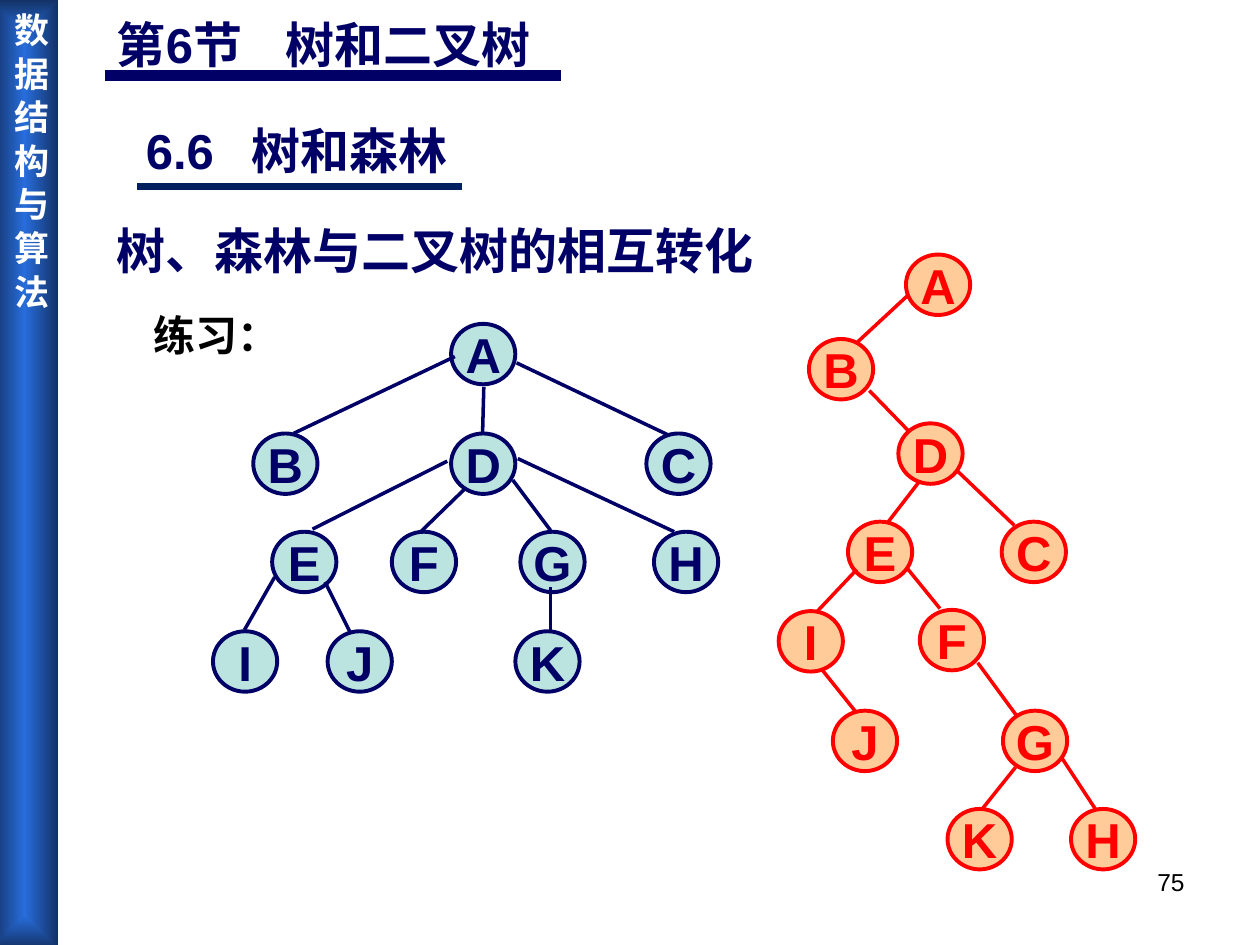
from dataclasses import dataclass

from lxml import etree
from pptx import Presentation
from pptx.dml.color import RGBColor
from pptx.enum.shapes import MSO_CONNECTOR as Connector, MSO_SHAPE as Shape
from pptx.enum.text import MSO_ANCHOR as Anchor, PP_ALIGN as Align
from pptx.oxml import parse_xml
from pptx.oxml.ns import nsdecls, qn
from pptx.util import Inches, Pt


@dataclass(frozen=True)
class Theme:
    navy: str = "000066"
    underline: str = "002060"
    red: str = "FF0000"
    black: str = "000000"
    white: str = "FFFFFF"
    mint: str = "BBE3E0"
    peach: str = "FFCC99"
    band_center: str = "286DDC"
    band_edge: str = "133266"
    latin: str = "Arial"
    chinese: str = "Noto Sans CJK SC"
    heading: int = 28
    body: int = 24
    band: int = 20
    footer: int = 14
    outline: float = 2.25
    edge: float = 2


THEME = Theme()
NODE_WIDTH, NODE_HEIGHT = 0.51, 0.48

# Each node: label, left, top, and the line from its parent (x1, y1, x2, y2),
# in inches from the top left corner of the tree.
GENERAL_TREE = [
    ("A", 1.89, 0, None),
    ("B", 0.32, 0.87, (1.92, 0.26, 0.64, 0.87)),
    ("C", 3.44, 0.87, (2.41, 0.31, 3.63, 0.89)),
    ("D", 1.89, 0.87, (2.15, 0.5, 2.14, 0.87)),
    ("E", 0.47, 1.65, (1.86, 1.09, 0.79, 1.63)),
    ("F", 1.42, 1.65, (2.01, 1.3, 1.65, 1.65)),
    ("G", 2.44, 1.65, (2.38, 1.24, 2.68, 1.64)),
    ("H", 3.5, 1.65, (2.42, 1.07, 3.66, 1.65)),
    ("I", 0, 2.44, (0.49, 2.01, 0.25, 2.43)),
    ("J", 0.91, 2.44, (0.89, 2.05, 1.1, 2.47)),
    ("K", 2.4, 2.44, (2.68, 2.09, 2.68, 2.44)),
]
BINARY_TREE = [
    ("A", 1.01, 0, None),
    ("B", 0.24, 0.67, (1.03, 0.32, 0.62, 0.7)),
    ("D", 0.95, 1.34, (0.72, 1.08, 1.05, 1.42)),
    ("E", 0.55, 2.12, (1.11, 1.81, 0.84, 2.16)),
    ("C", 1.77, 2.12, (1.42, 1.72, 1.87, 2.15)),
    ("F", 1.12, 2.82, (1.02, 2.49, 1.28, 2.81)),
    ("I", 0, 2.83, (0.62, 2.5, 0.28, 2.86)),
    ("G", 1.78, 3.62, (1.58, 3.24, 1.94, 3.73)),
    ("K", 1.34, 4.4, (1.88, 4.07, 1.6, 4.42)),
    ("H", 2.32, 4.4, (2.25, 4, 2.52, 4.41)),
    ("J", 0.43, 3.62, (0.34, 3.29, 0.62, 3.64)),
]


def write_text(frame, text, size=THEME.heading, color=THEME.navy, bold=True,
               align=Align.LEFT, anchor=Anchor.TOP, wrap=True,
               latin=THEME.latin, insets=(0.1, 0.05), tab=None):
    """Fill a text frame; tab is the place of a tab stop in inches."""
    frame.word_wrap = wrap
    frame.vertical_anchor = anchor
    frame.margin_left = frame.margin_right = Inches(insets[0])
    frame.margin_top = frame.margin_bottom = Inches(insets[1])
    paragraph = frame.paragraphs[0]
    paragraph.alignment = align
    if tab is not None:
        properties = paragraph._p.get_or_add_pPr()
        stops = etree.SubElement(properties, qn("a:tabLst"))
        etree.SubElement(stops, qn("a:tab"), pos=str(Inches(tab)), algn="l")
    run = paragraph.add_run()
    run.text = text
    font = run.font
    font.size, font.bold, font.name = Pt(size), bold, latin
    font.color.rgb = RGBColor.from_string(color)
    etree.SubElement(run._r.get_or_add_rPr(), qn("a:ea"), typeface=THEME.chinese)


def add_text(slide, box, text, **text_format):
    text_box = slide.shapes.add_textbox(*map(Inches, box))
    write_text(text_box.text_frame, text, **text_format)


def add_line(slide, points, color, width):
    line = slide.shapes.add_connector(Connector.STRAIGHT, *map(Inches, points))
    line.line.color.rgb = RGBColor.from_string(color)
    line.line.width = Pt(width)
    etree.SubElement(line._element.spPr, qn("a:effectLst"))


def add_side_band(slide, box):
    band = slide.shapes.add_shape(Shape.RECTANGLE, *map(Inches, box))
    band.shadow.inherit = False
    band.line.fill.background()
    gradient = parse_xml(
        f'<a:gradFill {nsdecls("a")} rotWithShape="1"><a:gsLst>'
        f'<a:gs pos="0"><a:srgbClr val="{THEME.band_center}"/></a:gs>'
        f'<a:gs pos="100000"><a:srgbClr val="{THEME.band_edge}"/></a:gs>'
        '</a:gsLst><a:path path="rect">'
        '<a:fillToRect l="50000" t="50000" r="50000" b="50000"/>'
        '</a:path></a:gradFill>')
    band._element.spPr.find(qn("a:prstGeom")).addnext(gradient)
    write_text(band.text_frame, "数 据 结 构 与 算 法", size=THEME.band,
               color=THEME.white, align=Align.CENTER, latin=THEME.chinese,
               insets=(0.05, 0.1))
    band.text_frame._txBody.bodyPr.set("vert", "eaVert")


def add_underlined_heading(slide, box, text, tab, line, color, width):
    """Add a heading and its rule; line is (left, right, top) inside the box."""
    left, top = box[:2]
    start, end, drop = line
    add_line(slide, (left + start, top + drop, left + end, top + drop), color, width)
    add_text(slide, box, text, tab=tab)


def add_node(slide, left, top, label, fill, color):
    node = slide.shapes.add_shape(Shape.OVAL, *map(Inches, (left, top, NODE_WIDTH, NODE_HEIGHT)))
    node.shadow.inherit = False
    node.fill.solid()
    node.fill.fore_color.rgb = RGBColor.from_string(fill)
    node.line.color.rgb = RGBColor.from_string(color)
    node.line.width = Pt(THEME.outline)
    write_text(node.text_frame, label, color=color, align=Align.CENTER,
               anchor=Anchor.MIDDLE, wrap=False)


def add_tree(slide, left, top, nodes, fill, color):
    for label, x, y, edge in nodes:
        if edge:
            x1, y1, x2, y2 = edge
            add_line(slide, (left + x1, top + y1, left + x2, top + y2), color, THEME.edge)
        add_node(slide, left + x, top + y, label, fill, color)


def main():
    presentation = Presentation()
    presentation.slide_width, presentation.slide_height = Inches(10), Inches(7.5)
    slide = presentation.slides.add_slide(presentation.slide_layouts[6])

    add_side_band(slide, (-0.07, 0, 0.53, 7.53))
    add_underlined_heading(slide, (0.83, 0.07, 3.7, 1.04), "第6节\t树和二叉树", 1.34,
                           (0, 3.62, 0.53), THEME.navy, 6)
    add_underlined_heading(slide, (1.06, 0.91, 2.77, 0.57), "6.6\t树和森林", 0.84,
                           (0.03, 2.61, 0.57), THEME.underline, 4.25)
    add_text(slide, (0.83, 1.7, 5.43, 0.57), "树、森林与二叉树的相互转化")
    add_text(slide, (1.12, 2.41, 1.2, 0.5), "练习：", size=THEME.body,
             color=THEME.black, wrap=False)
    add_tree(slide, 1.69, 2.57, GENERAL_TREE, THEME.mint, THEME.navy)
    add_tree(slide, 6.18, 2.02, BINARY_TREE, THEME.peach, THEME.red)
    add_text(slide, (7.17, 6.83, 2.33, 0.52), "75", size=THEME.footer,
             color=THEME.black, bold=False, align=Align.RIGHT)

    presentation.save("out.pptx")


if __name__ == "__main__":
    main()
